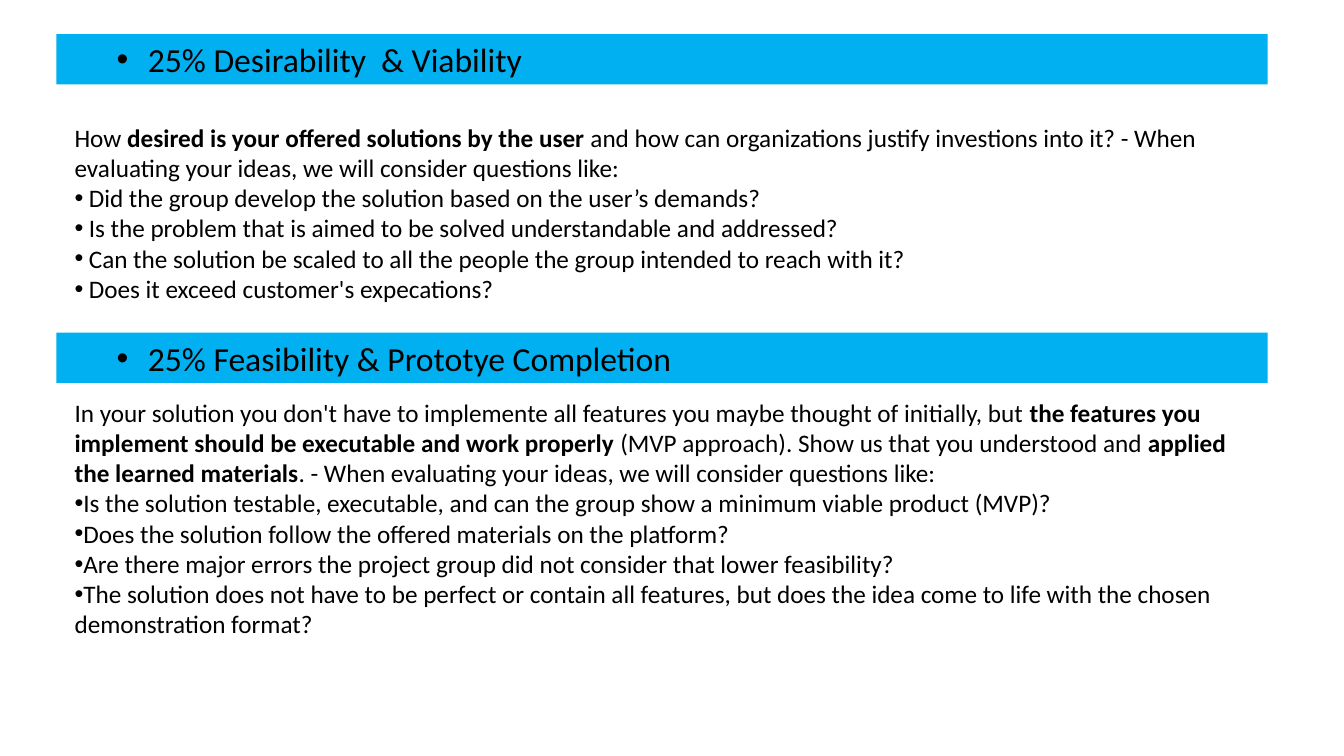
import pptx
import pptx.dml.color
import pptx.enum.shapes
import pptx.enum.text
import pptx.oxml.xmlchemy
import pptx.util
from lxml import etree
from pptx.oxml import ns
from pptx.util import Cm

BAR_BLUE = pptx.dml.color.RGBColor(0x00, 0xB0, 0xF0)
BLACK = pptx.dml.color.RGBColor(0x00, 0x00, 0x00)
FONT = "Calibri"

BAR_LEFT, BAR_WIDTH, BAR_HEIGHT = Cm(1.42), Cm(30.53), Cm(1.27)
BODY_LEFT, BODY_WIDTH = Cm(1.63), Cm(30.33)

DESIRABILITY_INTRO = (
    "How **desired is your offered solutions by the user** and how can "
    "organizations justify investions into it? - When evaluating your ideas, "
    "we will consider questions like:"
)
DESIRABILITY_QUESTIONS = [
    "Did the group develop the solution based on the user’s demands?",
    "Is the problem that is aimed to be solved understandable and addressed?",
    "Can the solution be scaled to all the people the group intended to reach with it?",
    "Does it exceed customer's expecations?",
]
FEASIBILITY_INTRO = (
    "In your solution you don't have to implemente all features you maybe "
    "thought of initially, but **the features you implement should be "
    "executable and work properly** (MVP approach). Show us that you understood "
    "and **applied the learned materials**. - When evaluating your ideas, we "
    "will consider questions like:"
)
FEASIBILITY_QUESTIONS = [
    "Is the solution testable, executable, and can the group show a minimum viable product (MVP)?",
    "Does the solution follow the offered materials on the platform?",
    "Are there major errors the project group did not consider that lower feasibility?",
    "The solution does not have to be perfect or contain all features, but does "
    "the idea come to life with the chosen demonstration format?",
]


def add_bullet(paragraph, margin, hanging):
    properties = paragraph._p.get_or_add_pPr()
    properties.set("marL", str(int(margin)))
    properties.set("indent", str(-int(hanging)))
    bullet_font = etree.SubElement(properties, ns.qn("a:buFont"))
    bullet_font.set("typeface", "Arial")
    etree.SubElement(properties, ns.qn("a:buChar")).set("char", "•")


def write_text(paragraph, text, *, size, level=0, bullet=None):
    """Write text whose **marked** parts are bold; bullet is (margin, hanging)."""
    paragraph.alignment = pptx.enum.text.PP_ALIGN.LEFT
    paragraph.level = level
    if bullet:
        add_bullet(paragraph, *bullet)
    for index, part in enumerate(text.split("**")):
        run = paragraph.add_run()
        run.text = part
        run.font.name = FONT
        run.font.size = pptx.util.Pt(size)
        run.font.bold = index % 2 == 1
        run.font.color.rgb = BLACK


def add_heading_bar(slide, top, heading):
    bar = slide.shapes.add_shape(
        pptx.enum.shapes.MSO_SHAPE.RECTANGLE, BAR_LEFT, top, BAR_WIDTH, BAR_HEIGHT
    )
    bar.shadow.inherit = False
    bar.fill.solid()
    bar.fill.fore_color.rgb = BAR_BLUE
    bar.line.fill.background()
    bar.text_frame.word_wrap = True
    write_text(bar.text_frame.paragraphs[0], heading, size=24, level=1,
               bullet=(Cm(2.06), Cm(0.79)))


def add_criteria(slide, top, height, intro, questions, bullet_indent):
    criteria = slide.shapes.add_textbox(BODY_LEFT, top, BODY_WIDTH, height)
    frame = criteria.text_frame
    frame.word_wrap = True
    write_text(frame.paragraphs[0], intro, size=18)
    for question in questions:
        write_text(frame.add_paragraph(), question, size=18,
                   bullet=(bullet_indent, bullet_indent))


def main():
    deck = pptx.Presentation()
    deck.slide_width, deck.slide_height = Cm(33.87), Cm(19.05)
    slide = deck.slides.add_slide(deck.slide_layouts.get_by_name("Blank"))

    # Desirability and viability
    add_heading_bar(slide, Cm(0.86), "25% Desirability  & Viability")
    add_criteria(slide, Cm(2.95), Cm(5.64), DESIRABILITY_INTRO,
                 DESIRABILITY_QUESTIONS, bullet_indent=Cm(0.36))

    # Feasibility and prototype completion
    add_heading_bar(slide, Cm(8.38), "25% Feasibility & Prototye Completion")
    add_criteria(slide, Cm(9.88), Cm(6.4), FEASIBILITY_INTRO,
                 FEASIBILITY_QUESTIONS, bullet_indent=Cm(0))

    deck.save("out.pptx")


if __name__ == "__main__":
    main()
